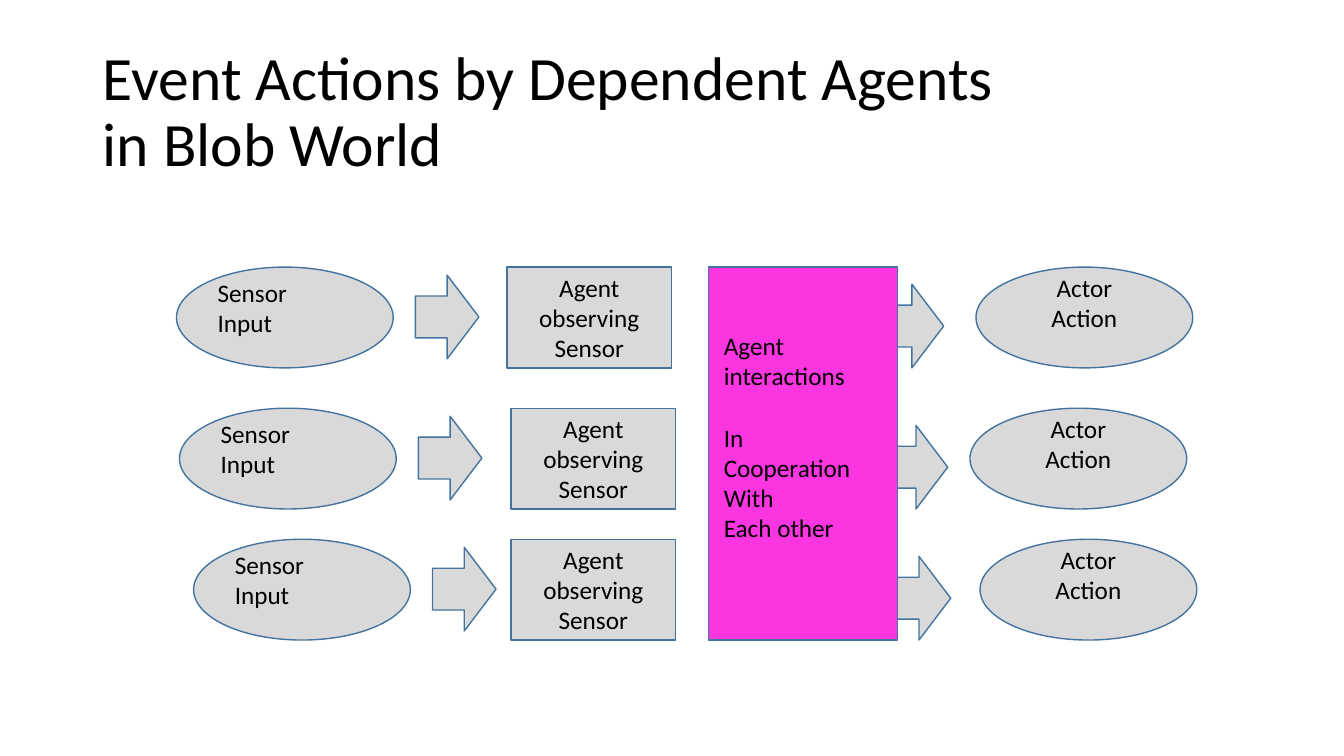
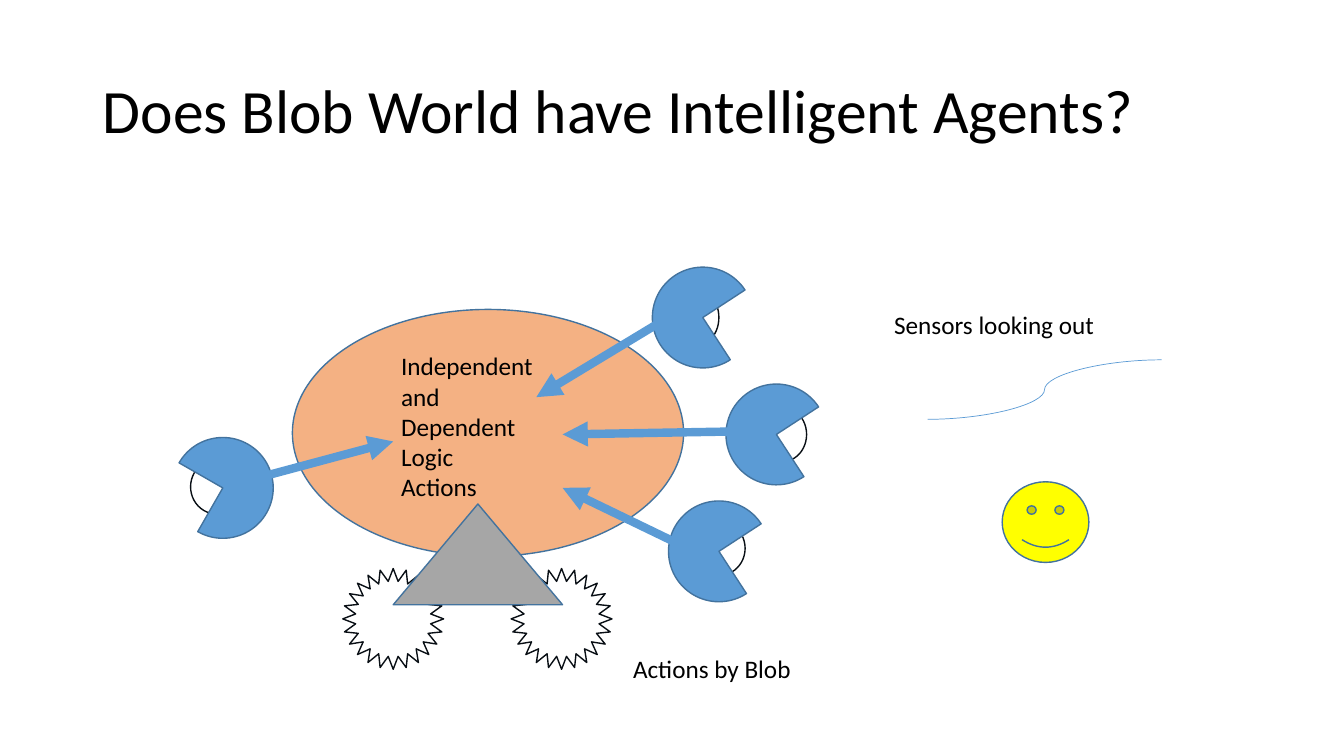
from lxml import etree
from pptx import Presentation
from pptx import util as u
from pptx.dml.color import RGBColor
from pptx.enum import shapes, text
from pptx.oxml import ns

COLORS = {
    "ink": "000000", "outline": "43739E", "dark": "090F15", "grey": "D9D9D9",
    "pink": "FB35DF", "blue": "5B9BD5", "peach": "F4B183", "stand": "A6A6A6",
    "sun": "FFFF00",
}
PX = 9144
KIND = shapes.MSO_SHAPE
LINK = shapes.MSO_CONNECTOR
LEFT, CENTER = text.PP_ALIGN.LEFT, text.PP_ALIGN.CENTER
TOP, MIDDLE = text.MSO_ANCHOR.TOP, text.MSO_ANCHOR.MIDDLE


def px(*lengths):
    """Turn pixel lengths into EMU."""
    return [u.Emu(length * PX) for length in lengths]


def rgb(name):
    """Look up a colour of the palette."""
    return RGBColor.from_string(COLORS[name])


class Deck:
    """Hold the shared style and the slide being drawn."""

    def __init__(self):
        """Start an empty wide presentation."""
        self.prs = Presentation()
        self.prs.slide_width, self.prs.slide_height = px(1333, 750)
        self.slide = None

    def style(self, run, size):
        """Give a run the common font."""
        run.font.name = "Calibri"
        run.font.size = u.Pt(size)
        run.font.color.rgb = rgb("ink")

    def page(self, *lines):
        """Add a slide with a title of one or more lines."""
        self.slide = self.prs.slides.add_slide(self.prs.slide_layouts[5])
        title = self.slide.shapes.title
        title.left, title.top, title.width, title.height = px(92, 40, 1150, 145)
        frame = title.text_frame
        frame.word_wrap = True
        frame.auto_size = text.MSO_AUTO_SIZE.NONE
        frame.vertical_anchor = MIDDLE
        heading = frame.paragraphs[0]
        heading.alignment = LEFT
        heading.line_spacing = 0.9
        for number, line in enumerate(lines):
            if number:
                heading.add_line_break()
            run = heading.add_run()
            run.text = line
            self.style(run, 44)

    def fill_text(self, frame, lines, align, anchor, gap_at=None):
        """Fill a frame with paragraphs, with a gap before one of them."""
        frame.word_wrap = True
        frame.vertical_anchor = anchor
        for number, line in enumerate(lines):
            paragraph = frame.add_paragraph() if number else frame.paragraphs[0]
            paragraph.alignment = align
            if number == gap_at:
                paragraph.space_before = u.Pt(22)
            run = paragraph.add_run()
            run.text = line
            self.style(run, 18)

    def label(self, box, *lines, gap_at=None):
        """Add free text."""
        frame = self.slide.shapes.add_textbox(*px(*box)).text_frame
        self.fill_text(frame, lines, LEFT, TOP, gap_at)

    def shape(self, kind, box, fill=None, line="outline", turn=0, lines=(), lift=0):
        """Add a preset shape, with centred text raised by half of lift."""
        figure = self.slide.shapes.add_shape(kind, *px(*box))
        figure.shadow.inherit = False
        figure.rotation = turn
        if fill:
            figure.fill.solid()
            figure.fill.fore_color.rgb = rgb(fill)
        else:
            figure.fill.background()
        figure.line.color.rgb = rgb(line)
        figure.line.width = u.Pt(1)
        if lines:
            frame = figure.text_frame
            self.fill_text(frame, lines, CENTER, MIDDLE)
            if lift:
                frame.margin_top, frame.margin_bottom = px(0, lift)

    def connect(self, start, end, width, kind=LINK.STRAIGHT, arrow=True):
        """Add a blue connector, with an arrowhead at its end if wanted."""
        link = self.slide.shapes.add_connector(kind, *px(*start, *end))
        link.line.color.rgb = rgb("blue")
        link.line.width = u.Pt(width)
        properties = link._element.spPr
        if arrow:
            stroke = properties.find(ns.qn("a:ln"))
            etree.SubElement(stroke, ns.qn("a:tailEnd"), type="triangle")
        etree.SubElement(properties, ns.qn("a:effectLst"))


def draw_event_actions(deck):
    """Draw the rows from sensors through agents to actors."""
    deck.page("Event Actions by Dependent Agents", "in Blob World")
    rows = [
        (265, 175, 503, 873, 968),
        (405, 178, 507, 877, 962),
        (535, 192, 507, 880, 972),
    ]
    for top, sensor, agent, output, actor in rows:
        deck.shape(KIND.OVAL, (sensor, top, 215, 100), "grey")
        deck.label((sensor + 31, top + 5, 145, 71), "Sensor", "Input")
        deck.shape(KIND.RIGHT_ARROW, (sensor + 237, top + 8, 63, 83), "grey")
        deck.shape(KIND.RECTANGLE, (agent, top, 163, 100), "grey",
                   lines=("Agent observing", "Sensor"))
        deck.shape(KIND.RIGHT_ARROW, (output, top + 17, 63, 83), "grey")
        deck.shape(KIND.OVAL, (actor, top, 215, 100), "grey",
                   lines=("Actor", "Action"), lift=30)
    deck.shape(KIND.RECTANGLE, (703, 265, 187, 370), "pink")
    deck.label((708, 323, 165, 222), "Agent interactions", "In Cooperation",
               "With", "Each other", gap_at=1)


def draw_blob(deck):
    """Draw the blob with its sensors, logic and wheels."""
    deck.page("Does Blob World have Intelligent Agents?")
    lenses = [(687, 517, 52), (752, 404, 48), (672, 288, 41), (189, 456, 52)]
    for left, top, width in lenses:
        deck.shape(KIND.OVAL, (left, top, width, 54), line="dark")
    deck.shape(KIND.OVAL, (290, 307, 388, 245), "peach")
    sensors = [(663, 497, 56.9), (171, 434, 209.8), (720, 381, 56.9), (647, 265, 56.9)]
    for left, top, turn in sensors:
        deck.shape(KIND.PIE, (left, top, 100, 100), "blue", turn=turn)
    signals = [
        ((241, 478), (390, 438)), ((678, 542), (558, 484)),
        ((731, 428), (558, 431)), ((656, 319), (532, 394)),
    ]
    for start, end in signals:
        deck.connect(start, end, 6)
    deck.label((877, 302, 316, 40), "Sensors looking out")
    deck.shape(KIND.SMILEY_FACE, (994, 478, 86, 80), "sun")
    deck.connect((920, 416), (1152, 357), 0.5, LINK.CURVE, arrow=False)
    for wheel in (340, 507):
        deck.shape(KIND.STAR_24_POINT, (wheel, 564, 100, 100), line="dark")
    deck.shape(KIND.ISOSCELES_TRIANGLE, (390, 500, 168, 100), "stand")
    deck.label((388, 343, 169, 162), "Independent and Dependent", "Logic", "Actions")
    deck.label((618, 643, 221, 40), "Actions by Blob")


def main():
    """Build and save the slides."""
    deck = Deck()
    draw_event_actions(deck)
    draw_blob(deck)
    deck.prs.save("out.pptx")


if __name__ == "__main__":
    main()
